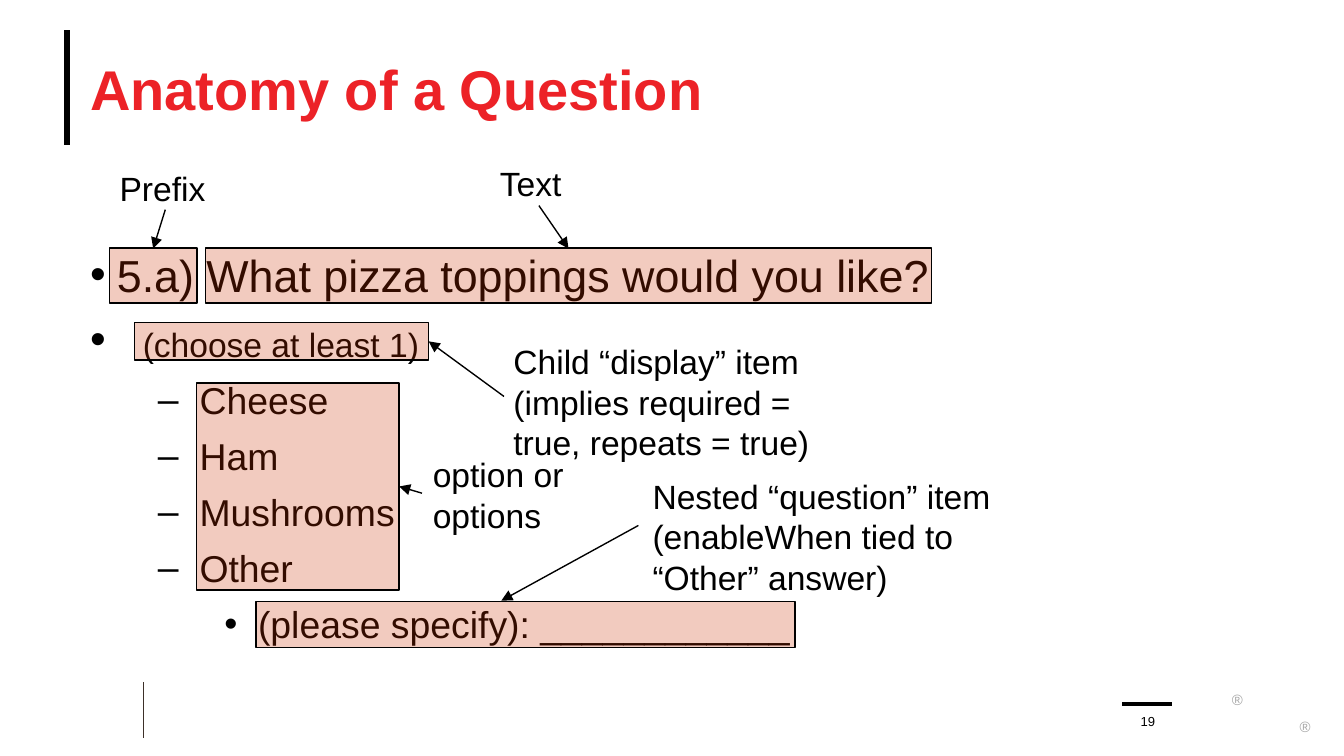
"""Build a slide that labels the parts of a form question."""
from typing import NamedTuple

from lxml import etree
from pptx import Presentation
from pptx import util as u
from pptx.dml.color import RGBColor
from pptx.enum import shapes, text
from pptx.oxml.ns import qn

COLS, ROWS = 100, 56.25
CELL = u.Inches(0.1)
FONT, BLACK, RED, TINT, GREY = "Arial", "000000", "EC2227", "CC3300", "A6A6A6"


class Box(NamedTuple):
    """An area in grid columns and rows."""
    x: float
    y: float
    w: float
    h: float


class Line(NamedTuple):
    """A line between two grid points."""
    x1: float
    y1: float
    x2: float
    y2: float


class Part(NamedTuple):
    """A marked part of the question, its label and its arrow."""
    mark: Box
    label: str
    area: Box
    arrow: Line


class Item(NamedTuple):
    """A bulleted line with its indents in columns and its lead-in."""
    words: str
    size: float
    left: float
    hang: float
    sign: str = "•"
    lead: str = ""


class Note(NamedTuple):
    """A small text of the page frame."""
    words: str
    area: Box
    size: float
    color: str
    align: text.PP_ALIGN = text.PP_ALIGN.LEFT


PARTS = [
    Part(Box(19.05, 44.75, 40.1, 3.45), "Nested “question” item (enableWhen tied to “Other” answer)",
         Box(47.85, 35, 26.9, 8.9), Line(47.5, 39.1, 37.3, 44.7)),
    Part(Box(14.6, 28.5, 15.1, 15.4), "option or options",
         Box(31.5, 33.4, 11.8, 6.4), Line(31.4, 36.7, 29.7, 36.2)),
    Part(Box(10, 24, 21.9, 2.8), "Child “display” item\v(implies required = true, repeats = true)",
         Box(37.5, 25, 26.1, 8.6), Line(37.5, 29.5, 31.9, 25.4)),
    Part(Box(15.3, 18.45, 54, 4.1), "Text",
         Box(36.5, 11.75, 7.7, 3.5), Line(40.1, 15.3, 42.3, 18.5)),
    Part(Box(8.15, 18.45, 6.5, 4.1), "Prefix",
         Box(8.2, 12.1, 8.6, 3.5), Line(12.3, 15.6, 11.4, 18.5)),
]
ITEMS = [
    Item("5.a) What pizza toppings would you like?", 24, 2, 2),
    Item("(choose at least 1)", 18, 3, 3, lead=" "),
    *(Item(word, 20, 8.15, 3.1, "–") for word in ("Cheese", "Ham", "Mushrooms", "Other")),
    Item("(please specify): ____________", 20, 12.5, 2.5),
]
RULES = [
    (Line(5, 2.25, 5, 10.8), BLACK, 3.25),
    (Line(10.7, 50.75, 10.7, 54.95), "3D3029", 0.5),
    (Line(83.5, 52.4, 87.2, 52.4), BLACK, 2),
]
NOTES = [
    Note("®", Box(91.65, 51.4, 1.1, 1.3), 8, GREY),
    Note("®", Box(96.7, 53.4, 1.1, 1.3), 8, GREY),
    Note("19", Box(83.9, 53.1, 3, 1.2), 7, BLACK, text.PP_ALIGN.CENTER),
]


def grid(spot: tuple) -> list:
    """Turn grid values into lengths."""
    return [round(v * CELL) for v in spot]


def paint(target, color: str) -> None:
    """Give a fill a solid colour."""
    target.solid()
    target.fore_color.rgb = RGBColor.from_string(color)


def style(para, size: float, color: str = BLACK) -> None:
    """Set the font of a paragraph."""
    para.font.name, para.font.size = FONT, u.Pt(size)
    para.font.color.rgb = RGBColor.from_string(color)


def frame(shape, pad: tuple = (0, 0)):
    """Make a text frame wrap with the given side and top margins."""
    tf = shape.text_frame
    tf.word_wrap = True
    tf.margin_left = tf.margin_right = u.Inches(pad[0])
    tf.margin_top = tf.margin_bottom = u.Inches(pad[1])
    return tf


def write(slide, words: str, area: Box, size: float, color: str = BLACK,
          align=text.PP_ALIGN.LEFT, pad: tuple = (0, 0)) -> None:
    """Add a text box with one paragraph."""
    para = frame(slide.shapes.add_textbox(*grid(area)), pad).paragraphs[0]
    para.text, para.alignment = words, align
    style(para, size, color)


def rule(slide, line: Line, color: str = BLACK, width: float = 0.75, head: bool = False) -> None:
    """Draw a straight line, with an arrowhead if asked."""
    conn = slide.shapes.add_connector(shapes.MSO_CONNECTOR.STRAIGHT, *grid(line))
    paint(conn.line.fill, color)
    conn.line.width = u.Pt(width)
    if head:
        etree.SubElement(conn.line._get_or_add_ln(), qn("a:tailEnd"), type="triangle")
    etree.SubElement(conn._element.spPr, qn("a:effectLst"))


def mark(slide, area: Box) -> None:
    """Draw a see-through box over a part."""
    rect = slide.shapes.add_shape(shapes.MSO_SHAPE.RECTANGLE, *grid(area))
    rect.shadow.inherit = False
    paint(rect.fill, TINT)
    tone = rect._element.spPr.find(".//" + qn("a:srgbClr"))
    etree.SubElement(tone, qn("a:alpha"), val="25000")
    paint(rect.line.fill, BLACK)
    rect.line.width = u.Pt(0.75)


def outline(slide, area: Box, items: list) -> None:
    """Write the question as a bulleted list."""
    tf = frame(slide.shapes.add_textbox(*grid(area)))
    for num, item in enumerate(items):
        para = tf.add_paragraph() if num else tf.paragraphs[0]
        para.space_before = u.Pt(6 if num else 0)
        left, hang = grid((item.left, item.hang))
        props = para._p.get_or_add_pPr()
        props.set("marL", str(left))
        props.set("indent", str(-hang))
        etree.SubElement(props, qn("a:buFont"), typeface=FONT)
        etree.SubElement(props, qn("a:buChar"), char=item.sign)
        style(para, item.size)
        if item.lead:
            run = para.add_run()
            run.text, run.font.size = item.lead, u.Pt(24)
        para.add_run().text = item.words


def head(slide, words: str, area: Box) -> None:
    """Place and format the title."""
    title = slide.shapes.title
    title.left, title.top, title.width, title.height = grid(area)
    tf = frame(title)
    tf.vertical_anchor = text.MSO_ANCHOR.MIDDLE
    para = tf.paragraphs[0]
    para.text, para.alignment = words, text.PP_ALIGN.LEFT
    style(para, 30, RED)
    para.font.bold = True


def main() -> None:
    """Build and save the slide."""
    deck = Presentation()
    deck.slide_width, deck.slide_height = grid((COLS, ROWS))
    slide = deck.slides.add_slide(deck.slide_layouts[5])
    for line, color, width in RULES:
        rule(slide, line, color, width)
    head(slide, "Anatomy of a Question", Box(6.7, 2.25, 90, 8.6))
    outline(slide, Box(6.7, 18.4, 90, 30), ITEMS)
    for note in NOTES:
        write(slide, *note)
    for part in PARTS:
        mark(slide, part.mark)
        write(slide, part.label, part.area, 18, pad=(0.07, 0.04))
        rule(slide, part.arrow, head=True)
    deck.save("out.pptx")


if __name__ == "__main__":
    main()
